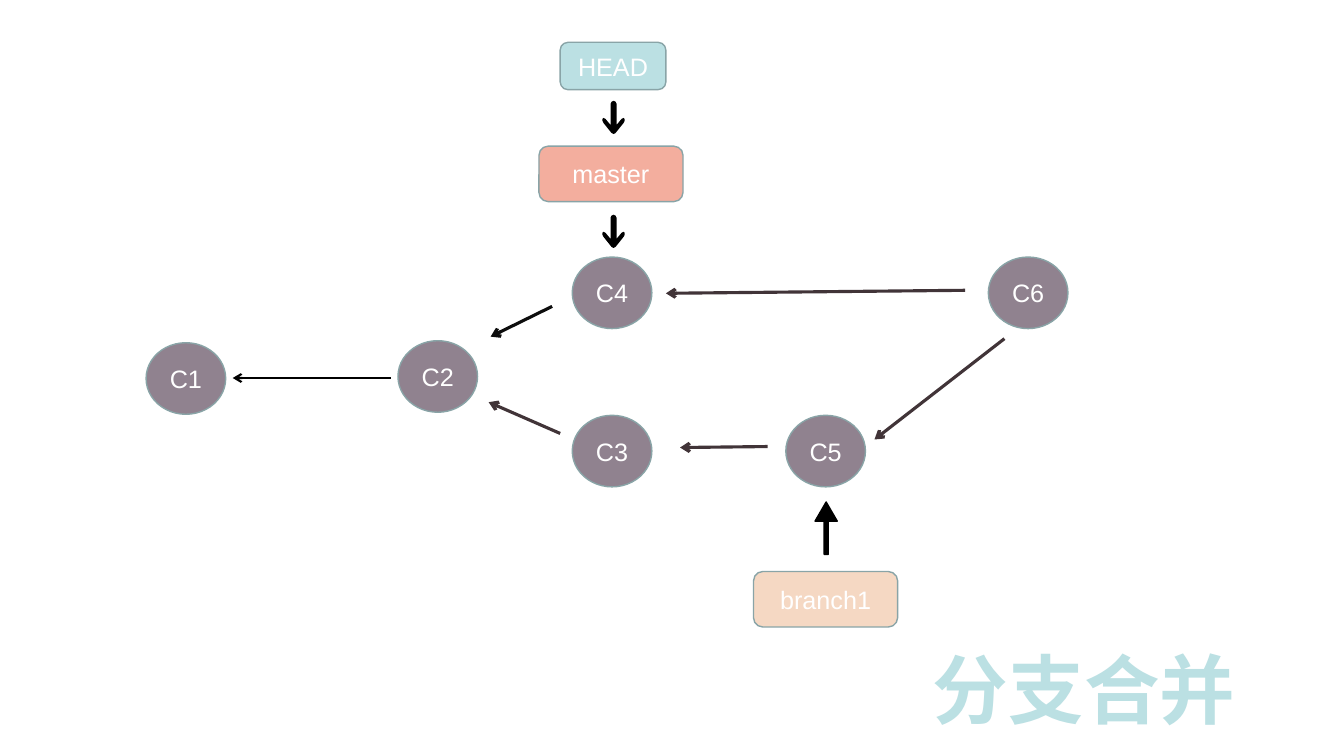
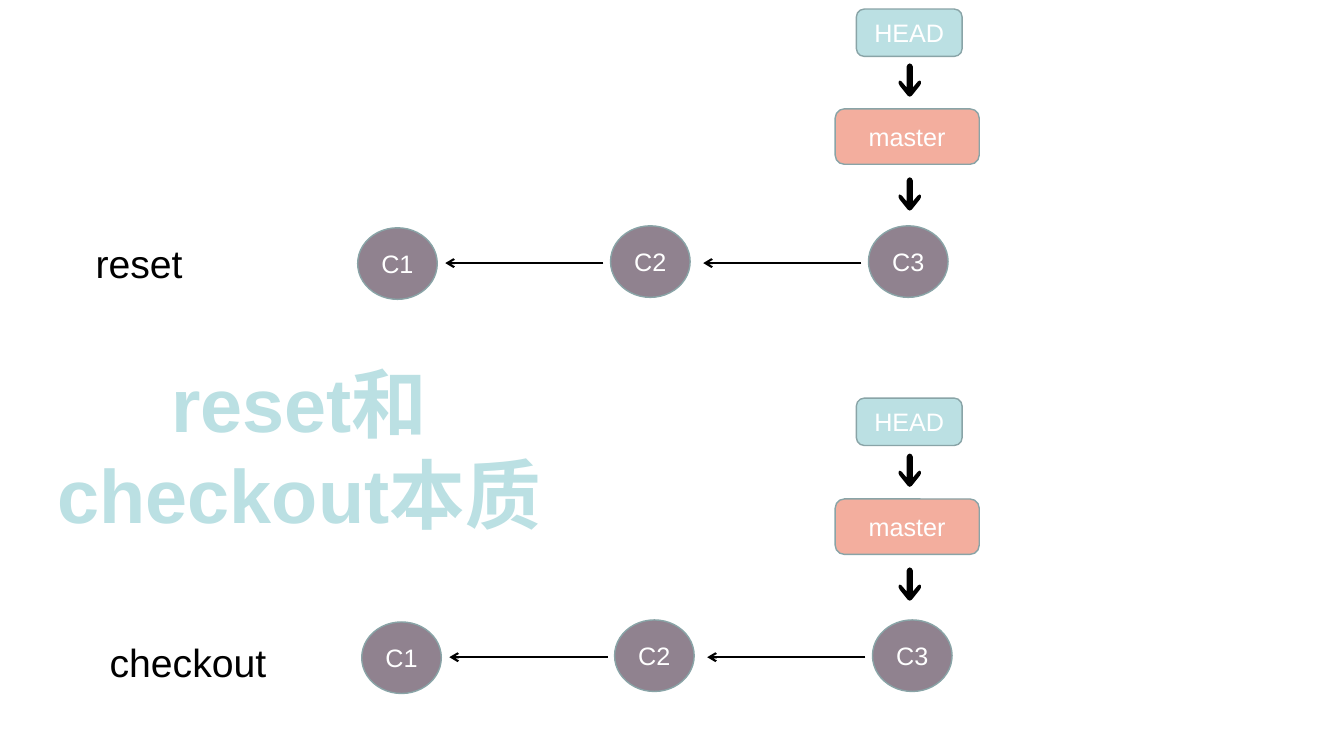
"""Two slides about merging branches and moving the HEAD pointer."""
from lxml import etree
from pptx import Presentation
from pptx import util as u
from pptx.dml.color import RGBColor
from pptx.enum import shapes, text
from pptx.oxml import ns

COLOURS = {
    "commit": "90828F", "head": "BBE0E3", "master": "F3AE9E",
    "branch": "F5D8C3", "outline": "89A4A7", "white": "FFFFFF",
    "black": "000000", "ink": "0D0D0D", "brown": "413438",
}
FONT = "Arial"
COMMIT_SIZE = (0.79, 0.71)
HEAD_SIZE = (1.05, 0.47)
BRANCH_SIZE = (1.43, 0.55)

# Right half of each block arrow, as offsets from its centre line and top.
DOWN_ARROW = [(0, 0.33), (0.02, 0.32), (0.1, 0.22), (0.11, 0.2),
              (0.11, 0.18), (0.1, 0.17), (0.08, 0.18), (0.03, 0.24),
              (0.03, 0.03), (0.02, 0.01), (0, 0)]
UP_ARROW = [(0, 0), (0.11, 0.19), (0.02, 0.19), (0.02, 0.52)]


def colour(name):
    """Return the RGB colour for a palette name."""
    return RGBColor.from_string(COLOURS[name])


class GitDiagram:
    """Holds the deck, its style and the current slide."""

    def __init__(self):
        """Start an empty widescreen deck."""
        self.deck = Presentation()
        self.deck.slide_width = u.Inches(13.34)
        self.deck.slide_height = u.Inches(7.5)
        self.slide = None

    def add_words(self, shape, words, size, ink, align, anchor, bold=False):
        """Put one formatted paragraph into a shape."""
        frame = shape.text_frame
        frame_format = {
            "word_wrap": True, "auto_size": text.MSO_AUTO_SIZE.NONE,
            "vertical_anchor": anchor,
            "margin_left": u.Inches(0.1), "margin_right": u.Inches(0.1),
            "margin_top": u.Inches(0.05), "margin_bottom": u.Inches(0.05),
        }
        for name, value in frame_format.items():
            setattr(frame, name, value)
        para = frame.paragraphs[0]
        para.alignment = align
        span = para.add_run()
        span.text = words
        font_format = {"name": FONT, "size": u.Pt(size), "bold": bold}
        for name, value in font_format.items():
            setattr(span.font, name, value)
        span.font.color.rgb = colour(ink)

    def paint(self, shape, fill, outline=None):
        """Give a shape a flat fill and an optional thin outline."""
        shape.shadow.inherit = False
        shape.fill.solid()
        shape.fill.fore_color.rgb = colour(fill)
        if outline:
            shape.line.color.rgb = colour(outline)
            shape.line.width = u.Pt(0.99)
        else:
            shape.line.fill.background()

    def add_slide(self, title, left, top, width, height):
        """Add a slide and place its large title."""
        self.slide = self.deck.slides.add_slide(self.deck.slide_layouts[5])
        box = self.slide.shapes.title
        place = {"left": left, "top": top, "width": width, "height": height}
        for name, value in place.items():
            setattr(box, name, u.Inches(value))
        self.add_words(box, title, 54, "head", text.PP_ALIGN.CENTER,
                       text.MSO_ANCHOR.TOP, bold=True)

    def node(self, kind, words, left, top, size, fill):
        """Draw an outlined shape with centred white text."""
        shape = self.slide.shapes.add_shape(
            kind, *(u.Inches(value) for value in (left, top, *size)))
        self.paint(shape, fill, "outline")
        self.add_words(shape, words, 18, "white", text.PP_ALIGN.CENTER,
                       text.MSO_ANCHOR.MIDDLE)

    def commit(self, words, left, top):
        """Draw a commit as an ellipse."""
        self.node(shapes.MSO_SHAPE.OVAL, words, left, top,
                  COMMIT_SIZE, "commit")

    def pointer(self, words, left, top, size, fill):
        """Draw a named pointer as a rounded box."""
        self.node(shapes.MSO_SHAPE.ROUNDED_RECTANGLE, words, left, top,
                  size, fill)

    def link(self, start, end, ink="black", width=1.5):
        """Draw a thin arrow from a commit to its parent."""
        line = self.slide.shapes.add_connector(
            shapes.MSO_CONNECTOR.STRAIGHT,
            *(u.Inches(value) for value in (*start, *end)))
        line.line.color.rgb = colour(ink)
        line.line.width = u.Pt(width)
        etree.SubElement(line.get_or_add_ln(), ns.qn("a:tailEnd"),
                         type="arrow")
        etree.SubElement(line.element.spPr, ns.qn("a:effectLst"))

    def block_arrow(self, half, centre, top, outline=None):
        """Draw a black arrow by mirroring half of its outline."""
        mirrored = [(-across, down) for across, down in reversed(half)]
        points = [(u.Inches(centre + across), u.Inches(top + down))
                  for across, down in half + mirrored]
        builder = self.slide.shapes.build_freeform(*points[0])
        builder.add_line_segments(points[1:], close=True)
        self.paint(builder.convert_to_shape(), "black", outline)

    def head_on_master(self, centre, head_top, master_top):
        """Stack HEAD above master, each with an arrow below it."""
        self.pointer("HEAD", centre - 0.53, head_top, HEAD_SIZE, "head")
        self.pointer("master", centre - 0.74, master_top, BRANCH_SIZE,
                     "master")
        for offset in (-0.45, 0.68):
            self.block_arrow(DOWN_ARROW, centre, master_top + offset)

    def history(self, left, top):
        """Draw a straight row of three linked commits."""
        self.commit("C1", left, top + 0.02)
        self.commit("C2", left + 2.51, top)
        self.commit("C3", left + 5.07, top)
        for start in (2.44, 5):
            self.link((left + start, top + 0.37),
                      (left + start - 1.57, top + 0.37))

    def label(self, words, left, top):
        """Set the name of a command beside its row."""
        box = self.slide.shapes.add_textbox(
            *(u.Inches(value) for value in (left, top, 2.04, 0.57)))
        self.add_words(box, words, 28, "black", text.PP_ALIGN.LEFT,
                       text.MSO_ANCHOR.TOP)


def merge_slide(diagram):
    """Build the slide on merging branches."""
    diagram.add_slide("分支合并", 8.21, 6.33, 5.1, 1)
    commits = {"C1": (1.45, 3.4), "C2": (3.95, 3.38), "C3": (5.68, 4.12),
               "C4": (5.68, 2.55), "C5": (7.8, 4.12), "C6": (9.81, 2.55)}
    for words, corner in commits.items():
        diagram.commit(words, *corner)
    diagram.link((3.88, 3.75), (2.31, 3.75))
    diagram.link((5.48, 3.04), (4.87, 3.34), "ink", 2.24)
    merge_links = [((5.56, 4.3), (4.85, 3.99)), ((7.62, 4.43), (6.75, 4.44)),
                   ((9.58, 2.88), (6.61, 2.91)), ((9.97, 3.36), (8.68, 4.36))]
    for start, end in merge_links:
        diagram.link(start, end, "brown", 2.24)
    diagram.head_on_master(6.09, 0.42, 1.45)
    diagram.pointer("branch1", 7.48, 5.67, BRANCH_SIZE, "branch")
    diagram.block_arrow(UP_ARROW, 8.2, 4.98, "black")


def reset_slide(diagram):
    """Build the slide that compares reset and checkout."""
    diagram.add_slide("reset和checkout本质", 0.42, 3.49, 5.1, 2.8)
    diagram.history(3.55, 2.24)
    diagram.history(3.59, 6.15)
    diagram.head_on_master(9.03, 0.09, 1.08)
    diagram.head_on_master(9.03, 3.95, 4.95)
    diagram.label("reset", 0.85, 2.33)
    diagram.label("checkout", 0.99, 6.28)


def main():
    """Build both slides and save the deck."""
    diagram = GitDiagram()
    merge_slide(diagram)
    reset_slide(diagram)
    diagram.deck.save("out.pptx")


main()
